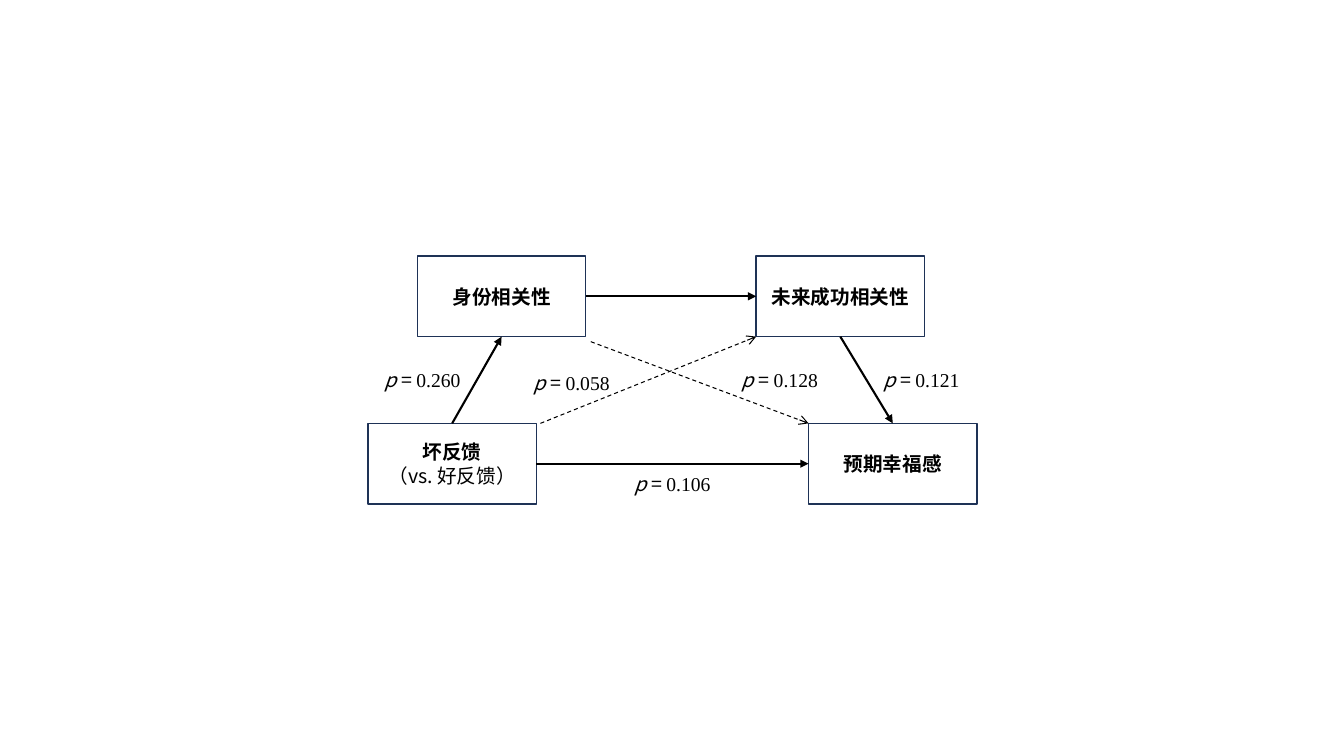
"""Draw a path model of feedback, relevance and expected happiness."""
import dataclasses
import typing

import lxml.etree
import pptx
import pptx.dml.color
import pptx.enum.dml
import pptx.enum.shapes
import pptx.enum.text
import pptx.oxml.ns
import pptx.util

Inches = pptx.util.Inches
Pt = pptx.util.Pt
qn = pptx.oxml.ns.qn

COLORS = {"ink": "000000", "edge": "1E3256"}
SANS = "Noto Sans CJK SC"
SERIF = "Times New Roman"
BOX_W, BOX_H = 1.67, 0.8
TAG_H = 0.42
UPPER, LOWER = 2.54, 4.2
TOP, LEFT, BOTTOM, RIGHT = range(4)


@dataclasses.dataclass
class Piece:
    text: str
    font: str = SANS
    bold: bool = False
    slant: bool = False


@dataclasses.dataclass
class Box:
    left: float
    top: float
    title: str
    note: str = ""


@dataclasses.dataclass
class Link:
    start: str
    exit: int
    end: str
    entry: int


@dataclasses.dataclass
class Dash:
    x1: float
    y1: float
    x2: float
    y2: float


@dataclasses.dataclass
class Tag:
    left: float
    top: float
    value: str
    width: float = 1.08


BOXES = {
    "self": Box(4.14, UPPER, "身份相关性"),
    "future": Box(7.5, UPPER, "未来成功相关性"),
    "feedback": Box(3.65, LOWER, "坏反馈", "（vs. 好反馈）"),
    "joy": Box(8.02, LOWER, "预期幸福感"),
}
LINKS = [
    Link("feedback", TOP, "self", BOTTOM),
    Link("self", RIGHT, "future", LEFT),
    Link("future", BOTTOM, "joy", TOP),
    Link("feedback", RIGHT, "joy", LEFT),
]
DASHES = [Dash(5.36, 4.2, 7.5, 3.34), Dash(5.86, 3.39, 8.02, 4.2)]
TAGS = [
    Tag(3.65, 3.56, "0.260"),
    Tag(6.13, 4.59, "0.106"),
    Tag(8.6, 3.56, "0.121"),
    Tag(7.13, 3.56, "0.128", 1.21),
    Tag(5.13, 3.59, "0.058"),
]


def paint(name: str) -> pptx.dml.color.RGBColor:
    return pptx.dml.color.RGBColor.from_string(COLORS[name])


def style(target: typing.Any, values: dict[str, typing.Any]) -> None:
    for name, value in values.items():
        setattr(target, name, value)


def write(frame: typing.Any, rows: list[list[Piece]]) -> None:
    style(frame, {"word_wrap": True,
                  "vertical_anchor": pptx.enum.text.MSO_ANCHOR.MIDDLE})
    for index, row in enumerate(rows):
        para = frame.add_paragraph() if index else frame.paragraphs[0]
        para.alignment = pptx.enum.text.PP_ALIGN.CENTER
        for piece in row:
            run = para.add_run()
            run.text = piece.text
            style(run.font, {"size": Pt(14), "name": piece.font,
                             "bold": piece.bold, "italic": piece.slant})
            run.font.color.rgb = paint("ink")
            face = lxml.etree.SubElement(run.font._element, qn("a:ea"))
            face.set("typeface", piece.font)


def draw_box(shapes: typing.Any, box: Box) -> typing.Any:
    shape = shapes.add_shape(
        pptx.enum.shapes.MSO_SHAPE.RECTANGLE,
        *map(Inches, (box.left, box.top, BOX_W, BOX_H)))
    shape.shadow.inherit = False
    shape.fill.background()
    shape.line.color.rgb = paint("edge")
    shape.line.width = Pt(1)
    rows = [[Piece(box.title, bold=True)]]
    if box.note:
        rows.append([Piece(box.note)])
    write(shape.text_frame, rows)
    return shape


def draw_line(shapes: typing.Any, ends: Dash, width: float, head: str,
              dash: typing.Any = None) -> typing.Any:
    line = shapes.add_connector(
        pptx.enum.shapes.MSO_CONNECTOR.STRAIGHT,
        *map(Inches, (ends.x1, ends.y1, ends.x2, ends.y2)))
    line.line.color.rgb = paint("ink")
    style(line.line, {"width": Pt(width), "dash_style": dash})
    form = line.element.spPr
    lxml.etree.SubElement(form.find(qn("a:ln")), qn("a:tailEnd")).set("type", head)
    lxml.etree.SubElement(form, qn("a:effectLst"))
    return line


def draw_tag(shapes: typing.Any, tag: Tag) -> None:
    label = shapes.add_textbox(
        *map(Inches, (tag.left, tag.top, tag.width, TAG_H)))
    write(label.text_frame, [[Piece("p ", slant=True), Piece("= "),
                              Piece(tag.value, SERIF)]])


def main() -> None:
    deck = pptx.Presentation()
    style(deck, {"slide_width": Inches(13.33), "slide_height": Inches(7.5)})
    shapes = deck.slides.add_slide(deck.slide_layouts[6]).shapes
    nodes = {key: draw_box(shapes, box) for key, box in BOXES.items()}
    for link in LINKS:
        line = draw_line(shapes, Dash(0, 0, 1, 1), 1.5, "triangle")
        line.begin_connect(nodes[link.start], link.exit)
        line.end_connect(nodes[link.end], link.entry)
    for ends in DASHES:
        draw_line(shapes, ends, 0.75, "arrow", pptx.enum.dml.MSO_LINE.DASH)
    for tag in TAGS:
        draw_tag(shapes, tag)
    deck.save("out.pptx")


if __name__ == "__main__":
    main()
